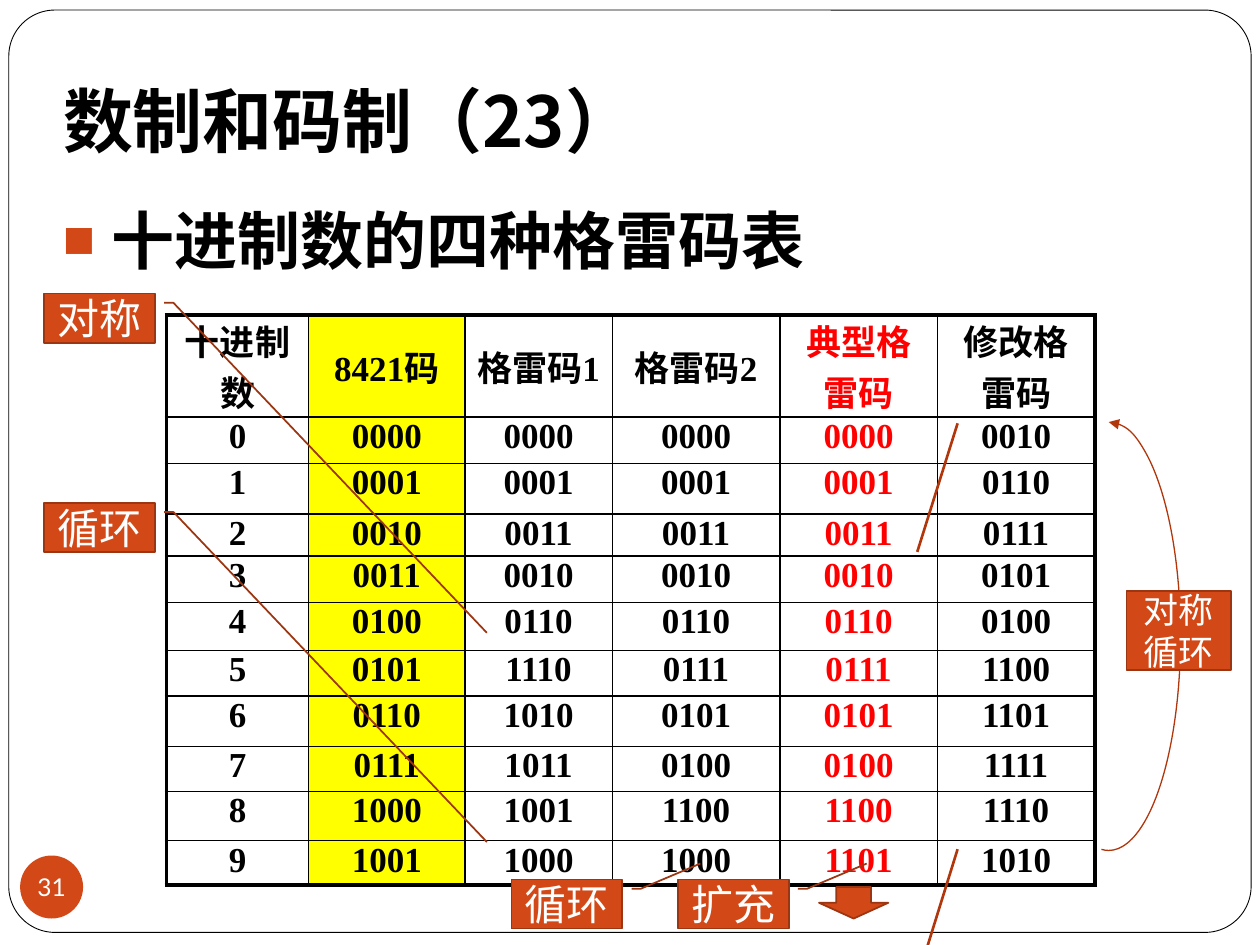
from lxml import etree
from pptx import Presentation
from pptx.dml.color import RGBColor
from pptx.enum.shapes import MSO_CONNECTOR, MSO_SHAPE
from pptx.enum.text import MSO_ANCHOR, MSO_AUTO_SIZE, PP_ALIGN
from pptx.oxml.ns import qn
from pptx.util import Inches, Pt

BLACK = RGBColor(0x00, 0x00, 0x00)
WHITE = RGBColor(0xFF, 0xFF, 0xFF)
RED = RGBColor(0xFF, 0x00, 0x00)
YELLOW = RGBColor(0xFF, 0xFF, 0x00)
ORANGE = RGBColor(0xD3, 0x48, 0x17)
DARK_ORANGE = RGBColor(0x9C, 0x35, 0x11)
RUST = RGBColor(0xB1, 0x36, 0x0B)

SANS = "Noto Sans CJK JP"
SERIF = "Times New Roman"
NUMBER_FONT = "Lato"

CENTER, LEFT = PP_ALIGN.CENTER, PP_ALIGN.LEFT
MIDDLE, TOP, BOTTOM = MSO_ANCHOR.MIDDLE, MSO_ANCHOR.TOP, MSO_ANCHOR.BOTTOM
ROUND_RECT, RECT = MSO_SHAPE.ROUNDED_RECTANGLE, MSO_SHAPE.RECTANGLE
OVAL, ARC = MSO_SHAPE.OVAL, MSO_SHAPE.ARC
DOWN_ARROW, CALLOUT = MSO_SHAPE.DOWN_ARROW, MSO_SHAPE.LINE_CALLOUT_2

COLUMN_WIDTHS = [1.13, 1.24, 1.17, 1.33, 1.25, 1.25]
ROW_HEIGHTS = [0.81, 0.37, 0.4, 0.33, 0.37, 0.38, 0.36, 0.4, 0.36, 0.39, 0.35]
HEADERS = ["十进制数", "8421码", "格雷码1", "格雷码2", "典型格雷码", "修改格雷码"]
CODES = [
    ["0000", "0000", "0000", "0000", "0010"],
    ["0001", "0001", "0001", "0001", "0110"],
    ["0010", "0011", "0011", "0011", "0111"],
    ["0011", "0010", "0010", "0010", "0101"],
    ["0100", "0110", "0110", "0110", "0100"],
    ["0101", "1110", "0111", "0111", "1100"],
    ["0110", "1010", "0101", "0101", "1101"],
    ["0111", "1011", "0100", "0100", "1111"],
    ["1000", "1001", "1100", "1100", "1110"],
    ["1001", "1000", "1000", "1101", "1010"],
]
BCD_COLUMN, TYPICAL_GRAY_COLUMN = 1, 4

CALLOUT_ELBOW = [0.188, -0.083, 0.188, -0.167]
TO_TABLE_BODY = [6.901, -2.994]
TO_LAST_ROW = [-0.324, -0.704]
CALLOUTS = [
    ("对称", 0.35, 2.33, TO_TABLE_BODY),
    ("循环", 0.35, 3.99, TO_TABLE_BODY),
    ("循环", 4.06, 6.98, TO_LAST_ROW),
    ("扩充", 5.38, 6.98, TO_LAST_ROW),
]


def inches(*lengths):
    return [Inches(length) for length in lengths]


def apply(target, formats):
    for name, value in formats.items():
        setattr(target, name, value)


def set_text(frame, text, size, color, font=SERIF, bold=False, align=CENTER):
    paragraph = frame.paragraphs[0]
    paragraph.alignment = align
    run = paragraph.add_run()
    run.text = text
    apply(run.font, {"name": font, "size": Pt(size), "bold": bold})
    run.font.color.rgb = color
    east_asian = etree.SubElement(run.font._element, qn("a:ea"))
    east_asian.set("typeface", SANS)
    return paragraph


def add_preset(slide, preset, box, fill, line, weight=1, adjustments=()):
    """Add a shape; None as fill or line leaves that part out."""
    shape = slide.shapes.add_shape(preset, *inches(*box))
    shape.shadow.inherit = False
    for index, value in enumerate(adjustments):
        shape.adjustments[index] = value
    if fill is None:
        shape.fill.background()
    else:
        shape.fill.solid()
        shape.fill.fore_color.rgb = fill
    if line is None:
        shape.line.fill.background()
    else:
        shape.line.color.rgb = line
        shape.line.width = Pt(weight)
    apply(shape.text_frame, {"word_wrap": True, "vertical_anchor": MIDDLE})
    return shape


def add_title(slide):
    title = slide.shapes.title
    left, top, width, height = inches(0.4, 0.3, 8.5, 1.08)
    apply(title, {"left": left, "top": top, "width": width, "height": height})
    apply(title.text_frame, {
        "auto_size": MSO_AUTO_SIZE.NONE, "word_wrap": True,
        "vertical_anchor": BOTTOM, "margin_bottom": Inches(0.1),
    })
    set_text(title.text_frame, "数制和码制（23）", 40, BLACK, SANS, True, LEFT)


def add_bullet_heading(slide):
    box = slide.shapes.add_textbox(*inches(0.4, 1.55, 8.5, 0.9))
    box.text_frame.word_wrap = True
    paragraph = set_text(box.text_frame, "十进制数的四种格雷码表", 36, BLACK,
                         SANS, True, LEFT)
    paragraph.space_before = Pt(5.8)
    properties = paragraph._p.get_or_add_pPr()
    properties.set("marL", str(Inches(0.39)))
    properties.set("indent", str(-Inches(0.39)))
    color = etree.SubElement(properties, qn("a:buClr"))
    etree.SubElement(color, qn("a:srgbClr")).set("val", str(ORANGE))
    etree.SubElement(properties, qn("a:buSzPct")).set("val", "85000")
    etree.SubElement(properties, qn("a:buFont")).set("typeface", SERIF)
    etree.SubElement(properties, qn("a:buChar")).set("char", "■")


def set_borders(cell, weights):
    """Draw black borders; weights maps the sides L, R, T, B to points."""
    properties = cell._tc.get_or_add_tcPr()
    for side, weight in weights.items():
        line = etree.SubElement(properties, qn(f"a:ln{side}"))
        line.set("w", str(Pt(weight)))
        fill = etree.SubElement(line, qn("a:solidFill"))
        etree.SubElement(fill, qn("a:srgbClr")).set("val", str(BLACK))


def add_code_table(slide):
    rows = [HEADERS] + [[str(digit), *codes] for digit, codes in enumerate(CODES)]
    last_row, last_column = len(rows) - 1, len(HEADERS) - 1
    table = slide.shapes.add_table(
        len(rows), len(HEADERS),
        *inches(1.32, 2.5, sum(COLUMN_WIDTHS), sum(ROW_HEIGHTS))).table
    apply(table, {"first_row": False, "horz_banding": False})
    for column, width in zip(table.columns, COLUMN_WIDTHS):
        column.width = Inches(width)
    for row, height in zip(table.rows, ROW_HEIGHTS):
        row.height = Inches(height)
    for r, texts in enumerate(rows):
        for c, text in enumerate(texts):
            cell = table.cell(r, c)
            outer = {"L": c == 0, "R": c == last_column,
                     "T": r == 0, "B": r == last_row}
            set_borders(cell, {side: 2.25 if edge else 1
                               for side, edge in outer.items()})
            cell.fill.solid()
            cell.fill.fore_color.rgb = YELLOW if c == BCD_COLUMN else WHITE
            apply(cell, {
                "margin_left": Inches(0.07), "margin_right": Inches(0.07),
                "margin_top": 0, "margin_bottom": 0,
                "vertical_anchor": MIDDLE if r == 0 else TOP,
            })
            color = RED if c == TYPICAL_GRAY_COLUMN else BLACK
            paragraph = set_text(cell.text_frame, text, 20, color, bold=True)
            paragraph.space_before = Pt(4)


def add_callout(slide, text, left, top, target):
    callout = add_preset(slide, CALLOUT, (left, top, 0.88, 0.39), ORANGE,
                         DARK_ORANGE, adjustments=CALLOUT_ELBOW + target)
    callout._element.spPr.find(qn("a:xfrm")).set("flipH", "1")
    set_text(callout.text_frame, text, 24, WHITE)


def add_symmetry_cycle(slide):
    arc = add_preset(slide, ARC, (8.23, 3.35, 1.14, 3.4), None, RUST, 0.75,
                     adjustments=[162, 55.173])
    etree.SubElement(arc.line._get_or_add_ln(), qn("a:headEnd")).set("type", "triangle")
    label = add_preset(slide, RECT, (8.94, 4.69, 0.83, 0.63), ORANGE, DARK_ORANGE)
    set_text(label.text_frame, "对称循环", 20, WHITE)


def add_slash(slide, top, bottom):
    slash = slide.shapes.add_connector(
        MSO_CONNECTOR.STRAIGHT, *inches(7.6, top, 7.28, bottom))
    slash.line.color.rgb = RUST
    slash.line.width = Pt(1.5)
    etree.SubElement(slash._element.spPr, qn("a:effectLst"))


def add_slide_number(slide):
    badge = add_preset(slide, OVAL, (0.16, 6.79, 0.5, 0.5), ORANGE, None)
    apply(badge.text_frame, {
        "word_wrap": False, "margin_left": 0, "margin_right": 0,
        "margin_top": 0, "margin_bottom": 0,
    })
    set_text(badge.text_frame, "31", 14, WHITE, NUMBER_FONT)


def main():
    presentation = Presentation()
    presentation.slide_width, presentation.slide_height = inches(10, 7.5)
    slide = presentation.slides.add_slide(presentation.slide_layouts[5])
    frame = add_preset(slide, ROUND_RECT, (0.07, 0.08, 9.86, 7.32), WHITE, BLACK,
                       0.5, adjustments=[0.05])
    slide.shapes.title._element.addprevious(frame._element)
    add_title(slide)
    add_slide_number(slide)
    add_bullet_heading(slide)
    add_code_table(slide)
    for callout in CALLOUTS:
        add_callout(slide, *callout)
    add_preset(slide, DOWN_ARROW, (6.5, 7.04, 0.55, 0.25), ORANGE, DARK_ORANGE)
    add_symmetry_cycle(slide)
    add_slash(slide, 3.36, 4.38)
    add_slash(slide, 6.74, 7.77)
    presentation.save("out.pptx")


if __name__ == "__main__":
    main()
